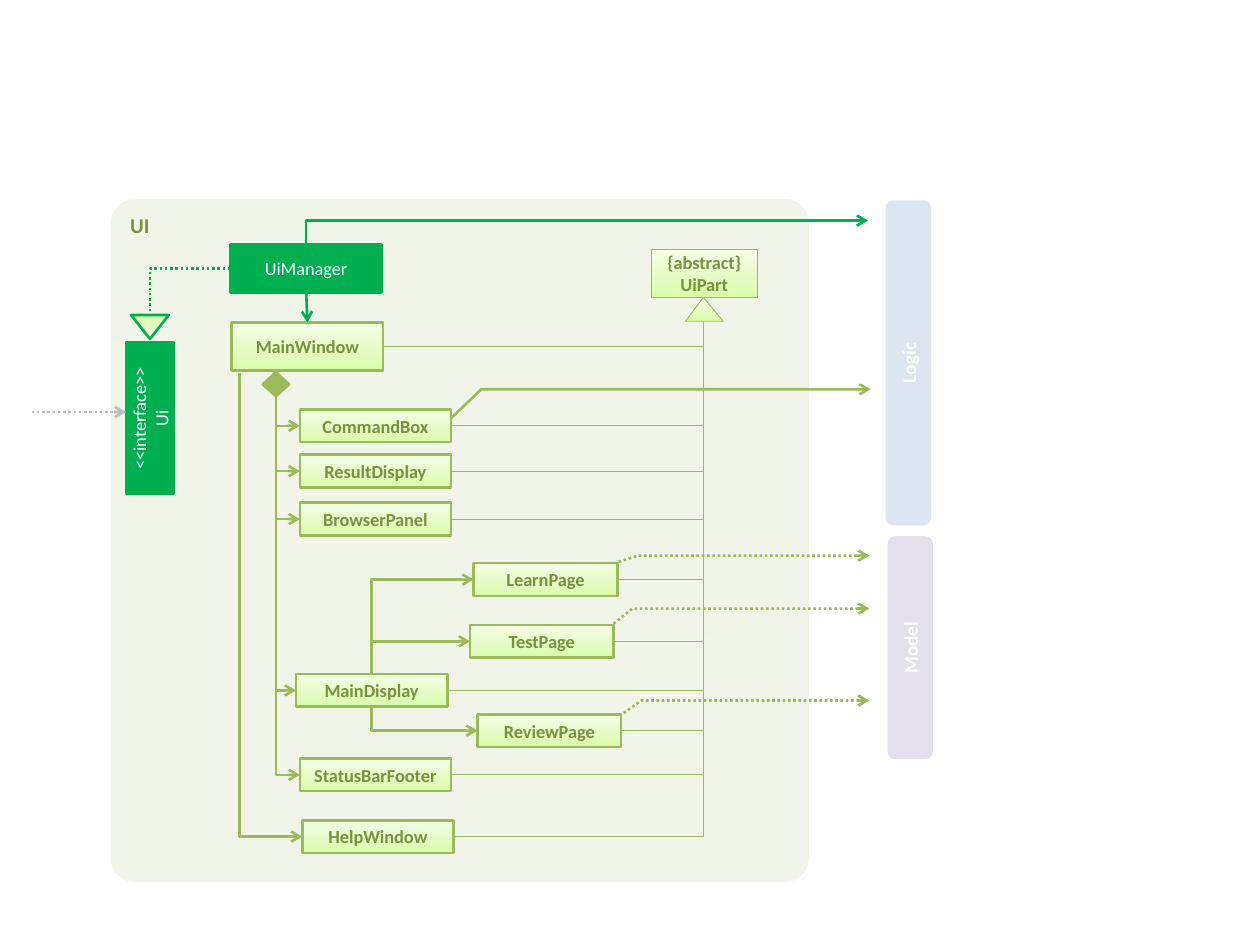
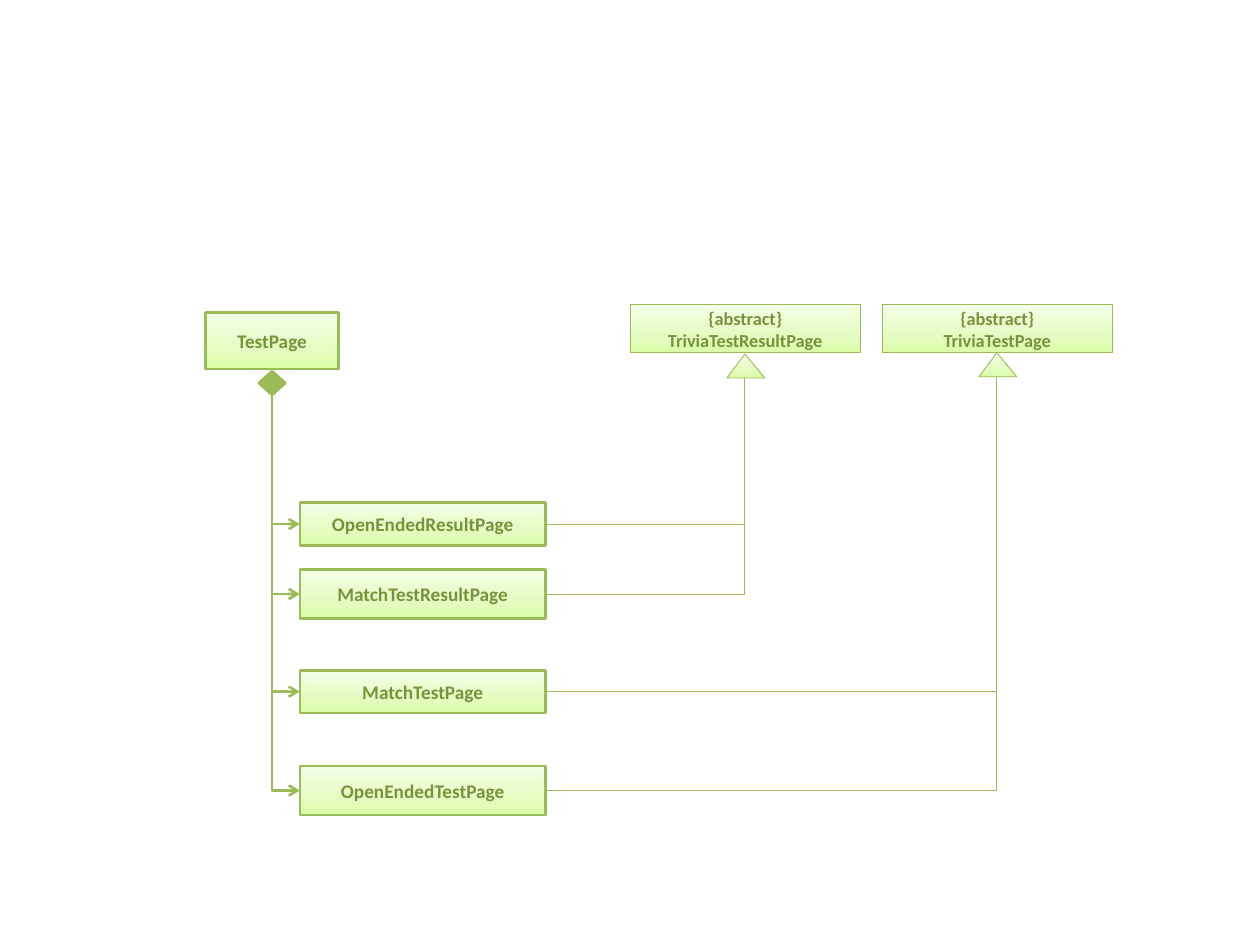
from lxml.etree import SubElement
from pptx import Presentation
from pptx.dml.color import RGBColor
from pptx.enum.dml import MSO_LINE
from pptx.enum.shapes import MSO_CONNECTOR, MSO_SHAPE
from pptx.enum.text import MSO_ANCHOR, PP_ALIGN
from pptx.oxml import parse_xml
from pptx.oxml.ns import nsdecls, qn
from pptx.util import Inches, Pt

FONT = "Calibri"
GREEN, OLIVE, OLIVE_TEXT = "00B050", "9BBB59", "77933C"
WHITE, GREY = "FFFFFF", "BFBFBF"
PANEL, LOGIC_BLUE, MODEL_LILAC, PATCH = "F1F5E9", "DCE6F2", "E6E0EC", "EBF1DE"
PALE_GREEN = [(0, "DAFDA7"), (35, "E4FCC2"), (100, "F5FFE7")]
TOP, LEFT, BOTTOM, RIGHT = range(4)
TRIANGLE_BASE = 3
THICK, THIN = 1.5, 0.5


def rgb(color):
    return RGBColor.from_string(color)


def fill_pale_green(shape):
    stops = "".join(
        f'<a:gs pos="{place * 1000}"><a:srgbClr val="{color}"/></a:gs>'
        for place, color in PALE_GREEN
    )
    gradient = parse_xml(
        f'<a:gradFill {nsdecls("a")} rotWithShape="1"><a:gsLst>{stops}</a:gsLst>'
        '<a:lin ang="16200000" scaled="0"/></a:gradFill>'
    )
    shape._element.spPr.find(qn("a:prstGeom")).addnext(gradient)


def style_line(line, color, width, dotted=False):
    line.color.rgb = rgb(color)
    line.width = Pt(width)
    if dotted:
        line.dash_style = MSO_LINE.ROUND_DOT


def add_arrowhead(item, end):
    """Put an open arrowhead at the end called headEnd or tailEnd."""
    SubElement(item.line._get_or_add_ln(), qn(f"a:{end}"), type="arrow")


def add_figure(page, kind, at, fill=None, line=None, width=THICK, rotation=0):
    """Add a preset shape; without a fill colour it gets the pale green gradient."""
    shape = page.shapes.add_shape(kind, *map(Inches, at))
    shape.shadow.inherit = False
    shape.rotation = rotation
    if fill:
        shape.fill.solid()
        shape.fill.fore_color.rgb = rgb(fill)
    else:
        fill_pale_green(shape)
    if line:
        style_line(shape.line, line, width)
    else:
        shape.line.fill.background()
    return shape


def write(shape, text, size=10.5, color=OLIVE_TEXT, bold=True):
    frame = shape.text_frame
    frame.margin_left = frame.margin_right = 0
    frame.vertical_anchor = MSO_ANCHOR.MIDDLE
    frame.text = text
    for para in frame.paragraphs:
        para.alignment = PP_ALIGN.CENTER
        para.font.name = FONT
        para.font.size = Pt(size)
        para.font.bold = bold
        para.font.color.rgb = rgb(color)


def add_class(page, name, at, size=10.5, width=THICK):
    box = add_figure(page, MSO_SHAPE.RECTANGLE, at, line=OLIVE, width=width)
    write(box, name, size)
    return box


def add_green_box(page, text, at, rotation=0):
    box = add_figure(page, MSO_SHAPE.RECTANGLE, at, GREEN, GREEN, rotation=rotation)
    write(box, text, color=WHITE, bold=False)
    return box


def add_component(page, name, at, fill):
    bar = add_figure(page, MSO_SHAPE.ROUNDED_RECTANGLE, at, fill, rotation=270)
    write(bar, name, 11, WHITE)


def add_diamond(page, left, top):
    at = (left, top, 0.2, 0.18)
    return add_figure(page, MSO_SHAPE.FLOWCHART_DECISION, at, OLIVE, OLIVE, 2)


def add_parent_class(page, name, at, triangle_at):
    """Add an abstract class with its inheritance triangle, and return the triangle."""
    add_class(page, "{abstract}\v" + name, at, width=THIN)
    triangle = add_figure(page, MSO_SHAPE.ISOSCELES_TRIANGLE, (*triangle_at, 0.3, 0.19),
                          line=OLIVE, width=THIN)
    triangle.adjustments[0] = 0.474
    return triangle


def add_link(page, kind, start, finish, color=OLIVE, width=THICK, dotted=False):
    link = page.shapes.add_connector(kind, *map(Inches, (*start, *finish)))
    SubElement(link._element.spPr, qn("a:effectLst"))
    style_line(link.line, color, width, dotted)
    return link


def add_elbow(page, start, finish, **style):
    """Add a one-bend connector that leaves start horizontally."""
    link = add_link(page, MSO_CONNECTOR.ELBOW, start, finish, **style)
    link._element.spPr.find(qn("a:prstGeom")).set("prst", "bentConnector2")
    return link


def join(page, box, side, owner, site, **style):
    link = add_elbow(page, (0, 0), (1, 1), **style)
    link.begin_connect(box, side)
    link.end_connect(owner, site)
    return link


def own(page, owner, site, part):
    """Point an arrow at the left side of the part that the owner holds."""
    add_arrowhead(join(page, part, LEFT, owner, site), "headEnd")


def reach_base(link, triangle, peak, base):
    link.end_connect(triangle, TRIANGLE_BASE)
    link.end_x = triangle.left + int(triangle.width * peak)
    link.end_y = base


def inherit(page, child, triangle):
    link = join(page, child, RIGHT, triangle, TRIANGLE_BASE, width=THIN)
    reach_base(link, triangle, 0.474, triangle.top + triangle.height)


def add_call(page, points, dotted=False):
    """Draw a polyline arrow to another component."""
    start, *rest = [tuple(map(Inches, point)) for point in points]
    builder = page.shapes.build_freeform(*start)
    builder.add_line_segments(rest, close=False)
    call = builder.convert_to_shape()
    call.shadow.inherit = False
    call.fill.background()
    style_line(call.line, OLIVE, THICK, dotted)
    add_arrowhead(call, "tailEnd")


def add_soft_patch(page, left, top):
    patch = add_figure(page, MSO_SHAPE.RECTANGLE, (left, top, 0.25, 0.18), PATCH)
    properties = patch._element.spPr
    SubElement(properties.find(".//" + qn("a:srgbClr")), qn("a:alpha"), val="80000")
    SubElement(properties.find(qn("a:effectLst")), qn("a:softEdge"), rad="63500")


def build_ui_page(page):
    panel = add_figure(page, MSO_SHAPE.ROUNDED_RECTANGLE, (0.88, 1.58, 5.54, 5.42), PANEL)
    panel.adjustments[0] = 0.035
    write(panel, "UI", 12)
    panel.text_frame.margin_left = Inches(0.1)
    panel.text_frame.vertical_anchor = MSO_ANCHOR.TOP
    panel.text_frame.paragraphs[0].alignment = PP_ALIGN.LEFT

    add_component(page, "Logic", (5.92, 2.7, 2.58, 0.36), LOGIC_BLUE)
    add_component(page, "Model", (6.34, 4.96, 1.77, 0.36), MODEL_LILAC)
    manager = add_green_box(page, "UiManager", (1.83, 1.94, 1.2, 0.38))
    add_green_box(page, "<<interface>>\nUi", (0.59, 3.13, 1.2, 0.38), 270)
    window = add_class(page, "MainWindow", (1.84, 2.56, 1.2, 0.38))
    diamond = add_diamond(page, 2.09, 2.96)
    ui_part = add_parent_class(page, "UiPart", (5.17, 1.98, 0.84, 0.38), (5.44, 2.36))
    interface_triangle = add_figure(page, MSO_SHAPE.ISOSCELES_TRIANGLE,
                                    (1.04, 2.5, 0.3, 0.19), line=GREEN, rotation=180)

    places = {
        "CommandBox": (2.38, 3.25), "ResultDisplay": (2.38, 3.61),
        "BrowserPanel": (2.38, 3.99), "MainDisplay": (2.35, 5.35),
        "StatusBarFooter": (2.38, 6.02), "HelpWindow": (2.4, 6.51),
    }
    parts = {name: add_class(page, name, (*place, 1.2, 0.26))
             for name, place in places.items()}
    display, help_window = parts["MainDisplay"], parts["HelpWindow"]
    for part in parts.values():
        if part is not help_window:
            own(page, diamond, BOTTOM, part)

    display_pages = []
    for name, left, top, site in [("LearnPage", 3.76, 4.47, TOP),
                                  ("TestPage", 3.73, 4.96, TOP),
                                  ("ReviewPage", 3.79, 5.67, BOTTOM)]:
        display_page = add_class(page, name, (left, top, 1.14, 0.26))
        own(page, display, site, display_page)
        display_pages.append(display_page)
    for child in [window, *parts.values(), *display_pages]:
        inherit(page, child, ui_part)

    help_link = add_elbow(page, (2.4, 6.64), (1.9, 2.96))
    help_link.begin_connect(help_window, LEFT)
    add_arrowhead(help_link, "headEnd")
    logic_link = add_elbow(page, (6.89, 1.75), (2.43, 1.94), color=GREEN)
    logic_link.end_connect(manager, TOP)
    add_arrowhead(logic_link, "headEnd")
    realization = join(page, manager, LEFT, interface_triangle, TRIANGLE_BASE,
                       color=GREEN, dotted=True)
    reach_base(realization, interface_triangle, 0.5, interface_triangle.top)
    window_link = add_link(page, MSO_CONNECTOR.STRAIGHT, (2.43, 2.32), (2.44, 2.56), GREEN)
    window_link.begin_connect(manager, BOTTOM)
    window_link.end_connect(window, TOP)
    add_arrowhead(window_link, "tailEnd")
    caller = add_link(page, MSO_CONNECTOR.STRAIGHT, (0.25, 3.27), (1, 3.27), GREY, dotted=True)
    add_arrowhead(caller, "tailEnd")

    add_soft_patch(page, 5.49, 3)
    add_soft_patch(page, 5.48, 4.91)
    add_call(page, [(3.58, 3.32), (3.82, 3.09), (6.91, 3.09)])
    for start, bend in [((4.91, 4.46), (5.06, 4.41)),
                        ((4.87, 4.95), (5.02, 4.83)),
                        ((4.95, 5.66), (5.09, 5.56))]:
        add_call(page, [start, bend, (6.9, bend[1])], dotted=True)


def build_test_page(page):
    add_class(page, "TestPage", (1.63, 2.48, 1.06, 0.45), 11)
    diamond = add_diamond(page, 2.06, 2.95)
    result_parent = add_parent_class(page, "TriviaTestResultPage",
                                     (5, 2.42, 1.83, 0.38), (5.77, 2.81))
    test_parent = add_parent_class(page, "TriviaTestPage",
                                   (7, 2.42, 1.83, 0.38), (7.77, 2.8))
    for name, top, height, parent in [
        ("OpenEndedResultPage", 3.99, 0.34, result_parent),
        ("MatchTestResultPage", 4.52, 0.39, result_parent),
        ("MatchTestPage", 5.32, 0.34, test_parent),
        ("OpenEndedTestPage", 6.08, 0.39, test_parent),
    ]:
        child = add_class(page, name, (2.38, top, 1.95, height), 11)
        own(page, diamond, BOTTOM, child)
        inherit(page, child, parent)


def main():
    deck = Presentation()
    deck.slide_width, deck.slide_height = Inches(10), Inches(7.5)
    blank = deck.slide_layouts[6]
    for build in (build_ui_page, build_test_page):
        build(deck.slides.add_slide(blank))
    deck.save("out.pptx")


if __name__ == "__main__":
    main()
